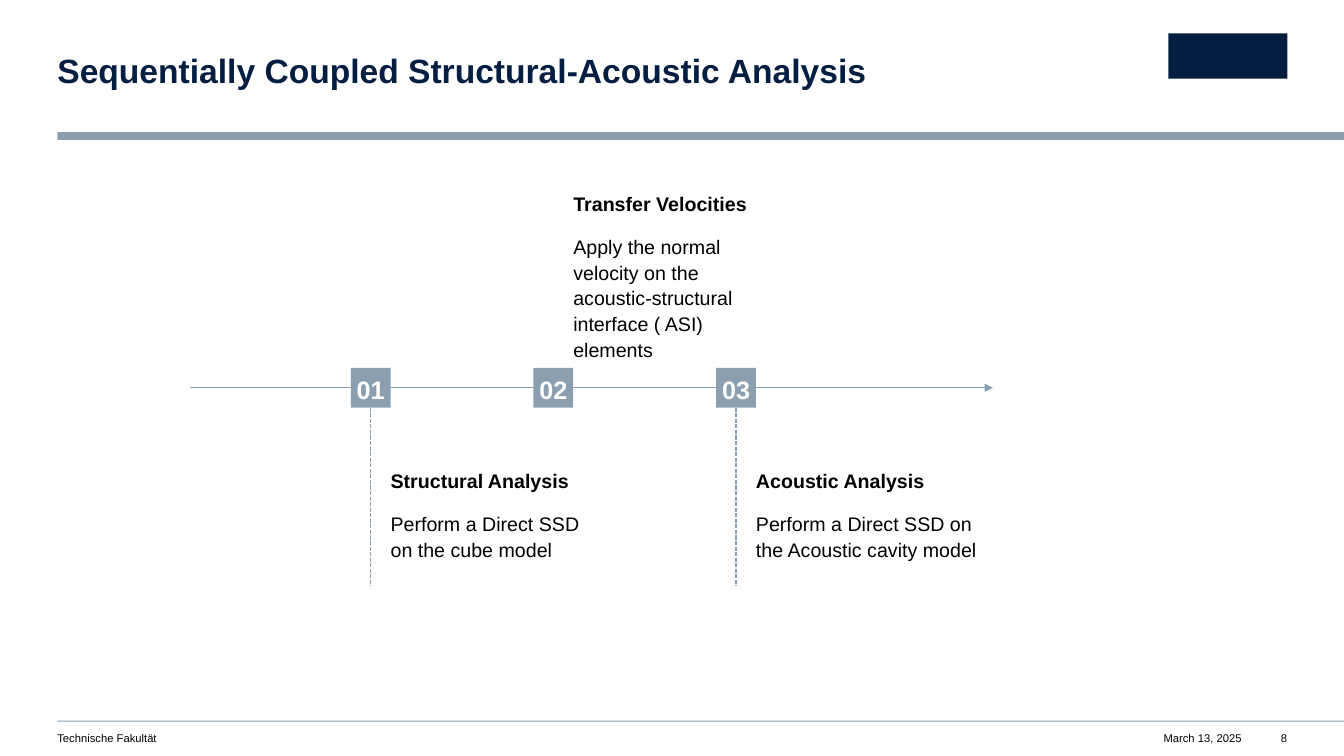
from lxml.etree import SubElement
from pptx import Presentation
from pptx.dml.color import RGBColor
from pptx.enum.dml import MSO_LINE
from pptx.enum.shapes import MSO_CONNECTOR, MSO_SHAPE
from pptx.enum.text import MSO_ANCHOR as Anchor, MSO_AUTO_SIZE as AutoSize, PP_ALIGN as Align
from pptx.oxml.ns import qn
from pptx.util import Pt

NAVY = RGBColor(0x04, 0x1E, 0x42)
STEEL = RGBColor(0x8C, 0x9F, 0xB1)
BLACK = RGBColor(0, 0, 0)
WHITE = RGBColor(255, 255, 255)

MARGIN = 41
BAR_WIDTH = 919
AXIS = 277
BADGE = 28.4
FIRST_BADGE = 250.6
STEP_GAP = 130.5
STEM = 127.4

STEPS = [
    ("Structural Analysis", "Perform a Direct SSD on the cube model", 140.4, False),
    ("Transfer Velocities",
     "Apply the normal velocity on the acoustic-structural interface ( ASI) elements", 140.4, True),
    ("Acoustic Analysis", "Perform a Direct SSD on the Acoustic cavity model", 160, False),
]


class SlideBuilder:
    font = "Arial"

    def __init__(self, page):
        self.page = page

    def prepare(self, box, anchor=Anchor.TOP, wrap=True):
        frame = box.text_frame
        frame.margin_left = frame.margin_right = frame.margin_top = frame.margin_bottom = 0
        frame.auto_size = AutoSize.NONE
        frame.word_wrap = wrap
        frame.vertical_anchor = anchor
        return frame

    def set_text(self, para, words, size, color, bold=False, align=Align.LEFT, spacing=1.0, after=0):
        para.text = words
        para.alignment = align
        para.line_spacing = spacing
        para.space_after = Pt(after)
        font = para.font
        font.name, font.size, font.bold = self.font, Pt(size), bold
        font.color.rgb = color

    def title(self, words, left, top, width, height):
        box = self.page.shapes.title
        box.left, box.top, box.width, box.height = Pt(left), Pt(top), Pt(width), Pt(height)
        self.set_text(self.prepare(box).paragraphs[0], words, 24, NAVY, True, spacing=0.9)

    def rectangle(self, left, top, width, height, color):
        shape = self.page.shapes.add_shape(
            MSO_SHAPE.RECTANGLE, Pt(left), Pt(top), Pt(width), Pt(height))
        shape.shadow.inherit = False
        shape.fill.solid()
        shape.fill.fore_color.rgb = color
        shape.line.fill.background()
        return shape

    def badge(self, words, left, top):
        frame = self.prepare(self.rectangle(left, top, BADGE, BADGE, STEEL), Anchor.MIDDLE)
        self.set_text(frame.paragraphs[0], words, 18, WHITE, True, Align.CENTER, 1.1, 12)

    def text_box(self, left, top, width, height, wrap=True):
        box = self.page.shapes.add_textbox(Pt(left), Pt(top), Pt(width), Pt(height))
        return self.prepare(box, wrap=wrap)

    def description(self, heading, body, left, top, width):
        frame = self.text_box(left, top, width, 85)
        self.set_text(frame.paragraphs[0], heading, 14, BLACK, True, spacing=1.1, after=12)
        self.set_text(frame.add_paragraph(), body, 14, BLACK, spacing=1.1, after=12)

    def footer(self, words, left, width, align):
        frame = self.text_box(left, 522.7, width, 9.4, wrap=align == Align.LEFT)
        self.set_text(frame.paragraphs[0], words, 8, BLACK, align=align)

    def line(self, start, end, dashed=False, arrow=False):
        connector = self.page.shapes.add_connector(
            MSO_CONNECTOR.STRAIGHT, *(Pt(length) for length in (*start, *end)))
        connector.line.color.rgb = STEEL
        connector.line.width = Pt(1)
        if dashed:
            connector.line.dash_style = MSO_LINE.SQUARE_DOT
        properties = connector._element.spPr
        if arrow:
            SubElement(properties.find(qn("a:ln")), qn("a:tailEnd"), type="triangle")
        SubElement(properties, qn("a:effectLst"))


def main():
    deck = Presentation()
    deck.slide_width, deck.slide_height = Pt(960), Pt(540)
    slide = SlideBuilder(deck.slides.add_slide(deck.slide_layouts[5]))

    slide.rectangle(MARGIN, 94.3, BAR_WIDTH, 5.7, STEEL)
    slide.rectangle(MARGIN, 514.8, BAR_WIDTH, 0.7, STEEL)
    slide.rectangle(834.5, 23.8, 85, 32.4, NAVY)
    slide.title("Sequentially Coupled Structural-Acoustic Analysis", MARGIN, 39, 597.6, 52.6)
    slide.footer("Technische Fakultät", MARGIN, 430.6, Align.LEFT)
    slide.footer("March 13, 2025", 840.2, 46.8, Align.RIGHT)
    slide.footer("8", 910, 9.4, Align.RIGHT)

    slide.line((135.4, AXIS), (709.2, AXIS), arrow=True)
    for index, (heading, body, width, above) in enumerate(STEPS):
        left = FIRST_BADGE + index * STEP_GAP
        middle = left + BADGE / 2
        bottom = AXIS + BADGE / 2
        slide.badge(f"{index + 1:02}", left, AXIS - BADGE / 2)
        slide.description(heading, body, left + BADGE, 135.4 if above else 333.4, width)
        if not above:
            slide.line((middle, bottom), (middle, bottom + STEM), dashed=True)

    deck.save("out.pptx")


if __name__ == "__main__":
    main()
